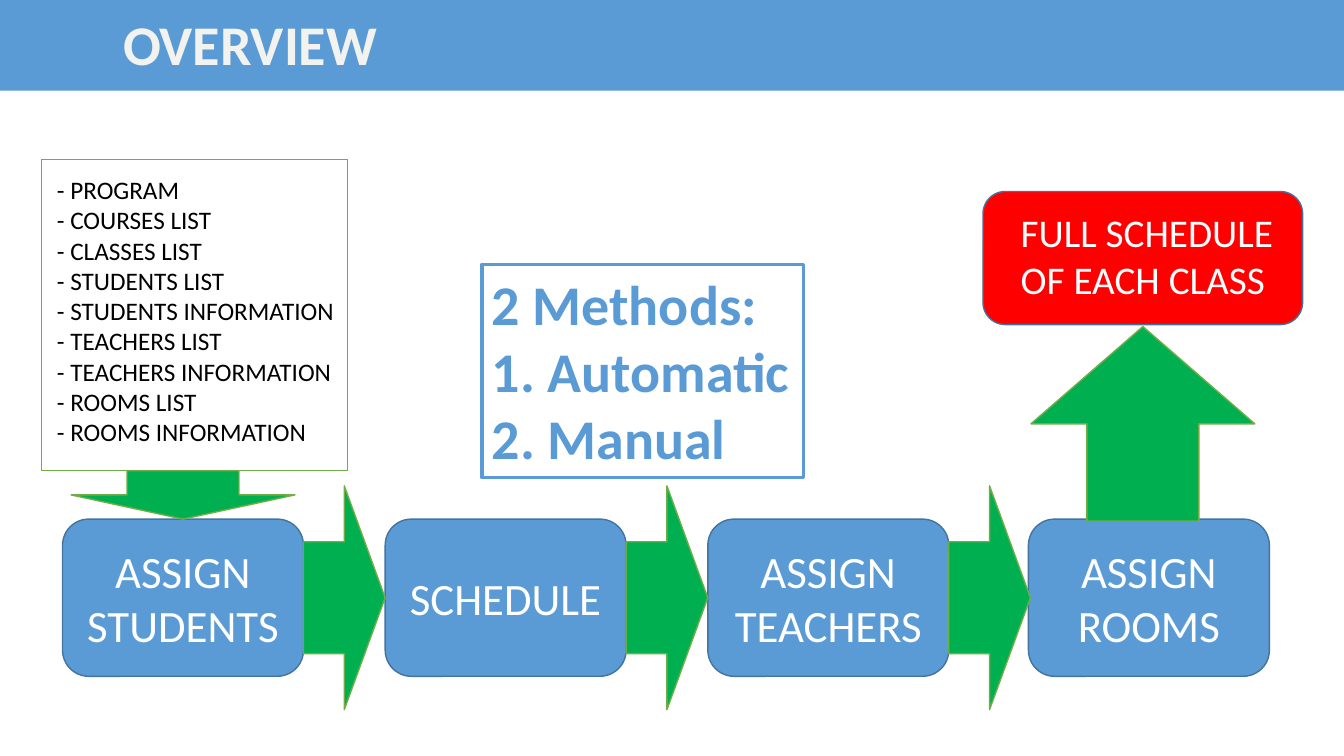
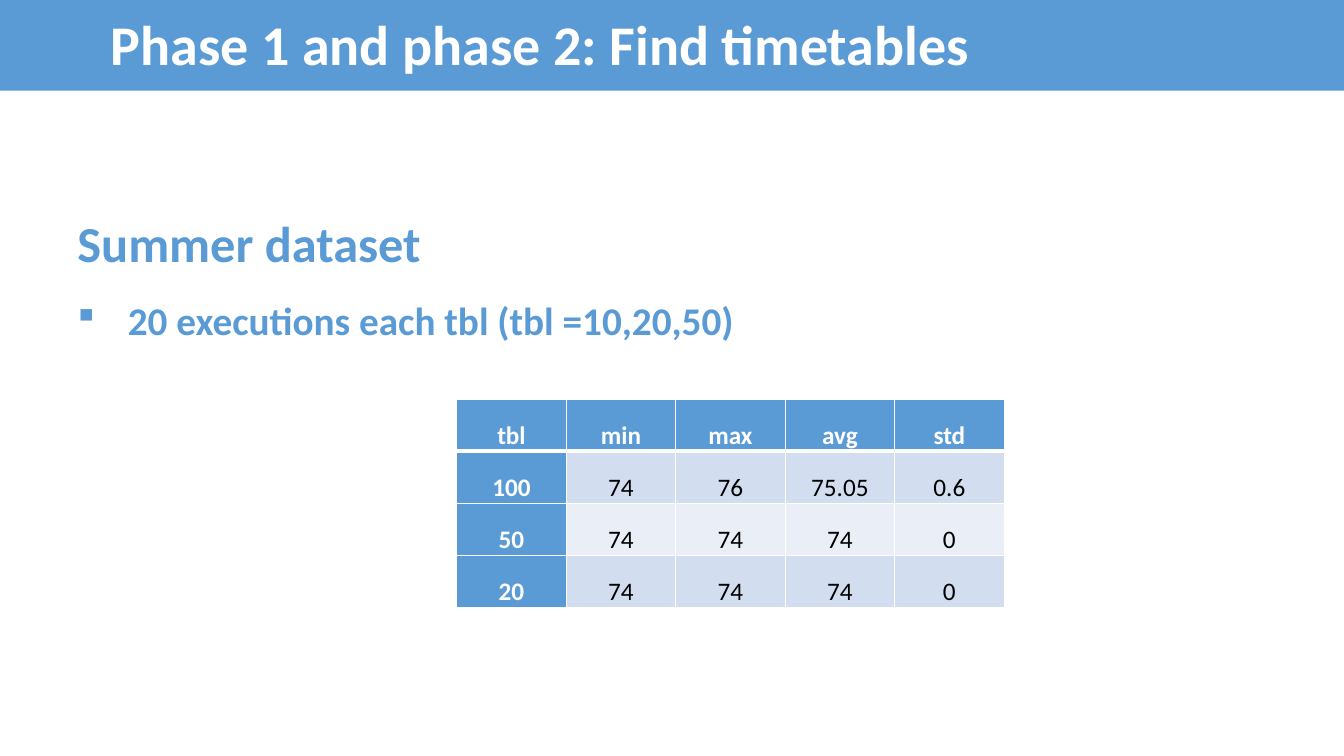
"""Build the timetable overview and the summer dataset results."""
from pptx import Presentation
from pptx.dml.color import RGBColor
from pptx.enum.shapes import MSO_SHAPE as Shape
from pptx.enum.text import MSO_ANCHOR as Anchor, MSO_AUTO_SIZE as AutoSize, PP_ALIGN as Align
from pptx.oxml.ns import qn
from pptx.util import Inches, Pt
from lxml.etree import SubElement

FONT = "Calibri"
BLUE, NAVY, GREEN, OLIVE = "5B9BD5", "43739E", "00B050", "70AD47"
RED, WHITE, BLACK, CREAM = "FF0000", "FFFFFF", "000000", "F2F2EF"
STRIPES = ("D2DEEF", "EAEFF7")
WIDTH, HEIGHT = 13.33, 7.5
BAND = (0, -0.51, 14.71, 1.88)
TITLE = (0, 0, WIDTH, 0.86)

STEPS = [(0.62, "ASSIGN STUDENTS"), (3.82, "SCHEDULE"),
         (7.02, "ASSIGN TEACHERS"), (10.2, "ASSIGN ROOMS")]
INPUTS = ["PROGRAM", "COURSES LIST", "CLASSES LIST", "STUDENTS LIST",
          "STUDENTS INFORMATION", "TEACHERS LIST", "TEACHERS INFORMATION",
          "ROOMS LIST", "ROOMS INFORMATION"]
METHODS = ["2 Methods:", "1. Automatic", "2. Manual"]
RESULT = ["FULL SCHEDULE", "OF EACH CLASS"]
TIMETABLES = [
    ("tbl", "min", "max", "avg", "std"),
    ("100", "74", "76", "75.05", "0.6"),
    ("50", "74", "74", "74", "0"),
    ("20", "74", "74", "74", "0"),
]

STEP_TOP, STEP_WIDTH, STEP_HEIGHT = 5.15, 2.39, 1.56
ARROW_SPAN, ARROW_LENGTH = 2.22, 0.81


def rgb(code):
    return RGBColor.from_string(code)


def write(frame, lines, size, color, bold=False, align=Align.LEFT):
    frame.text = "\n".join(lines)
    for para in frame.paragraphs:
        para.alignment = align
        for span in para.runs:
            font = span.font
            font.name, font.size, font.bold = FONT, Pt(size), bold
            font.color.rgb = rgb(color)


def add_box(page, kind, place, fill, edge=None, weight=1):
    box = page.shapes.add_shape(kind, *map(Inches, place))
    box.shadow.inherit = False
    box.fill.solid()
    box.fill.fore_color.rgb = rgb(fill)
    if edge:
        box.line.color.rgb = rgb(edge)
        box.line.width = Pt(weight)
    else:
        box.line.fill.background()
    return box


def add_page(deck, text, color, indent):
    page = deck.slides.add_slide(deck.slide_layouts[5])
    title = page.shapes.title
    band = add_box(page, Shape.RIGHT_ARROW, BAND, BLUE)
    title._element.addprevious(band._element)
    title.left, title.top, title.width, title.height = map(Inches, TITLE)
    frame = title.text_frame
    frame.auto_size = AutoSize.NONE
    frame.vertical_anchor = Anchor.MIDDLE
    frame.margin_left, frame.margin_top, frame.margin_bottom = Inches(indent), 0, 0
    write(frame, [text], 40, color, bold=True)
    return page


def add_steps(page):
    arrow_top = STEP_TOP + (STEP_HEIGHT - ARROW_SPAN) / 2
    for left, name in STEPS:
        step = add_box(page, Shape.ROUNDED_RECTANGLE,
                       (left, STEP_TOP, STEP_WIDTH, STEP_HEIGHT), BLUE, NAVY)
        write(step.text_frame, [name], 32, WHITE, align=Align.CENTER)
    for left, _ in STEPS[:-1]:
        add_box(page, Shape.RIGHT_ARROW,
                (left + STEP_WIDTH, arrow_top, ARROW_LENGTH, ARROW_SPAN), GREEN, OLIVE)


def add_inputs(page):
    top, height = 1.58, 3.09
    bottom = top + height
    inputs = add_box(page, Shape.RECTANGLE, (0.41, top, 3.04, height), WHITE, OLIVE)
    frame = inputs.text_frame
    frame.vertical_anchor = Anchor.TOP
    frame.margin_top = Inches(0.15)
    write(frame, [f" - {name}" for name in INPUTS], 18, BLACK)
    arrow_left = STEPS[0][0] + (STEP_WIDTH - ARROW_SPAN) / 2
    add_box(page, Shape.DOWN_ARROW,
            (arrow_left, bottom, ARROW_SPAN, STEP_TOP - bottom), GREEN, OLIVE)


def add_result(page):
    left, width = 9.75, 3.17
    result = add_box(page, Shape.ROUNDED_RECTANGLE, (left, 1.9, width, 1.32), RED, NAVY)
    frame = result.text_frame
    frame.margin_left, frame.margin_right = Inches(0.31), 0
    frame.margin_bottom = Inches(0.11)
    write(frame, RESULT, 28, WHITE)
    arrow_left = left + (width - ARROW_SPAN) / 2
    add_box(page, Shape.UP_ARROW, (arrow_left, 3.24, ARROW_SPAN, 1.93), GREEN, OLIVE)


def add_methods(page):
    methods = add_box(page, Shape.RECTANGLE, (4.78, 2.62, 3.19, 2.12), WHITE, BLUE, 2.25)
    frame = methods.text_frame
    frame.word_wrap = False
    frame.vertical_anchor = Anchor.TOP
    write(frame, METHODS, 40, BLUE, bold=True)


def add_heading(page):
    place = (0.67, 2.06, 3.64, 0.71)
    frame = page.shapes.add_textbox(*map(Inches, place)).text_frame
    frame.word_wrap = False
    write(frame, ["Summer dataset"], 36, BLUE, bold=True)


def add_executions(page):
    box = add_box(page, Shape.RECTANGLE, (0.67, 2.89, 9.79, 0.57), WHITE)
    frame = box.text_frame
    frame.vertical_anchor = Anchor.TOP
    write(frame, ["20 executions each tbl (tbl =10,20,50)"], 28, BLUE, bold=True)
    add_bullet(frame.paragraphs[0], 0.5)


def add_bullet(para, indent):
    properties = para._p.get_or_add_pPr()
    properties.set("marL", str(Inches(indent)))
    properties.set("indent", str(-Inches(indent)))
    SubElement(properties, qn("a:buFont"), typeface="Wingdings", charset="2")
    SubElement(properties, qn("a:buChar"), char="§")


def add_borders(cell, weights):
    properties = cell._tc.get_or_add_tcPr()
    for side, weight in zip("LRTB", weights):
        line = SubElement(properties, qn(f"a:ln{side}"), w=str(Pt(weight)))
        fill = SubElement(line, qn("a:solidFill"))
        SubElement(fill, qn("a:srgbClr"), val=WHITE)


def add_timetables(page):
    rows, columns = len(TIMETABLES), len(TIMETABLES[0])
    place = (4.53, 3.96, 5.43, 2.07)
    table = page.shapes.add_table(rows, columns, *map(Inches, place)).table
    for row, values in enumerate(TIMETABLES):
        for column, value in enumerate(values):
            heading = row == 0 or column == 0
            cell = table.cell(row, column)
            add_borders(cell, (1, 1, 3 if row == 1 else 1, 3 if row == 0 else 1))
            cell.fill.solid()
            cell.fill.fore_color.rgb = rgb(BLUE if heading else STRIPES[(row - 1) % 2])
            cell.vertical_anchor = Anchor.BOTTOM
            cell.margin_left = cell.margin_right = Inches(0.07)
            cell.margin_top = cell.margin_bottom = 0
            write(cell.text_frame, [value], 18, WHITE if heading else BLACK,
                  heading, Align.CENTER)
            cell.text_frame.paragraphs[0].space_before = Pt(6)


deck = Presentation()
deck.slide_width, deck.slide_height = Inches(WIDTH), Inches(HEIGHT)

overview = add_page(deck, "OVERVIEW", CREAM, 1.22)
add_steps(overview)
add_inputs(overview)
add_result(overview)
add_methods(overview)

results = add_page(deck, "Phase 1 and phase 2: Find timetables", WHITE, 1.1)
add_executions(results)
add_heading(results)
add_timetables(results)

deck.save("out.pptx")
